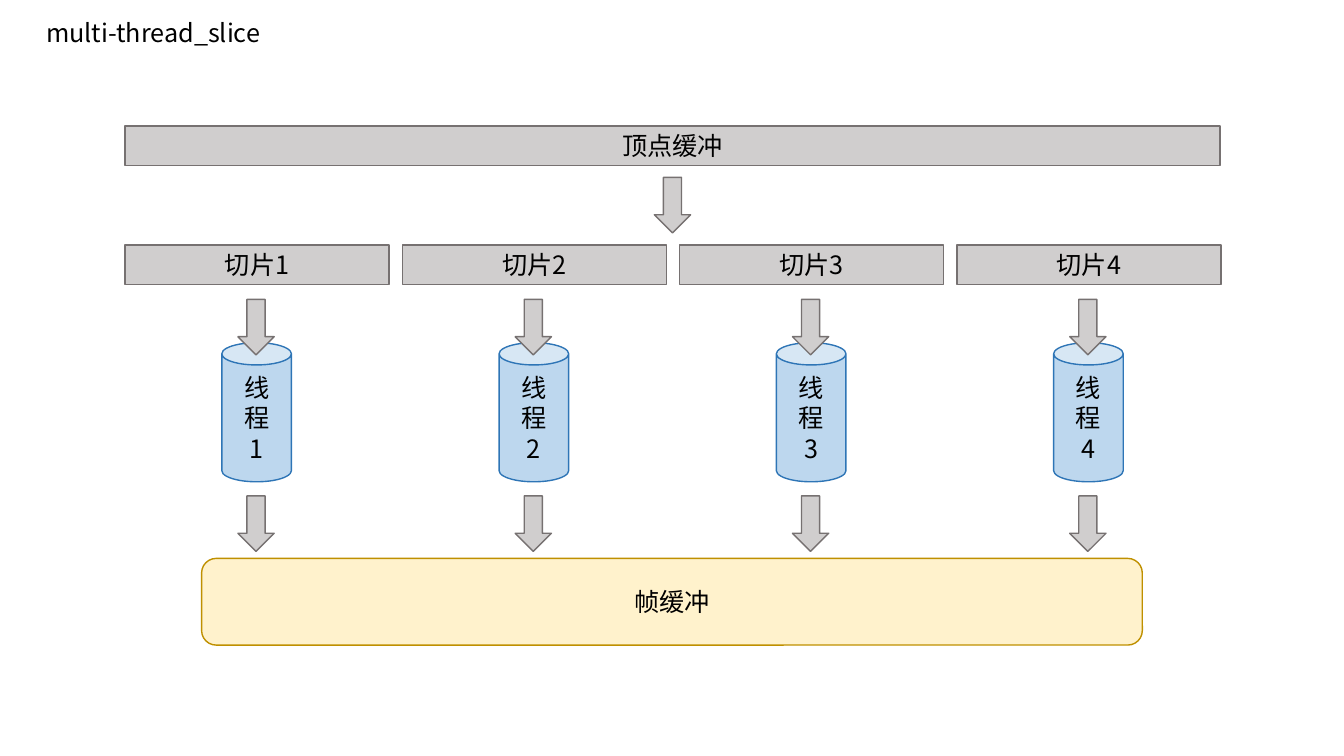
from dataclasses import dataclass

from lxml.etree import SubElement
from pptx import Presentation
from pptx.dml.color import RGBColor
from pptx.enum.shapes import MSO_SHAPE
from pptx.enum.text import MSO_ANCHOR, MSO_AUTO_SIZE, PP_ALIGN
from pptx.oxml.ns import qn
from pptx.slide import Slide
from pptx.text.text import TextFrame
from pptx.util import Emu, Pt

PX = 9144
FONT = "Noto Sans CJK SC"
THREADS = 4
STEP = 275


@dataclass(frozen=True)
class Style:
    kind: MSO_SHAPE
    fill: str
    line: str
    adj: float | None = None


@dataclass(frozen=True)
class Box:
    style: Style
    x: int
    y: int
    w: int
    h: int
    lines: tuple[str, ...] = ()


BAR = Style(MSO_SHAPE.RECTANGLE, "D0CECE", "767171")
ARROW = Style(MSO_SHAPE.DOWN_ARROW, "D0CECE", "767171")
THREAD = Style(MSO_SHAPE.CAN, "BDD7EE", "2E75B6", 0.32)
FRAME = Style(MSO_SHAPE.ROUNDED_RECTANGLE, "FFF2CC", "BF9000")


def px(n: int) -> Emu:
    return Emu(n * PX)


def color(value: str) -> RGBColor:
    return RGBColor.from_string(value)


def write(tf: TextFrame, lines: tuple[str, ...], align: PP_ALIGN) -> None:
    for i, line in enumerate(lines):
        p = tf.add_paragraph() if i else tf.paragraphs[0]
        p.alignment = align
        r = p.add_run()
        r.text = line
        r.font.size = Pt(18)
        r.font.color.rgb = color("000000")
        r.font.name = FONT
        SubElement(r.font._element, qn("a:ea"), typeface=FONT)


def draw_box(s: Slide, box: Box) -> None:
    style = box.style
    sp = s.shapes.add_shape(style.kind, px(box.x), px(box.y), px(box.w), px(box.h))
    sp.shadow.inherit = False
    sp.fill.solid()
    sp.fill.fore_color.rgb = color(style.fill)
    sp.line.color.rgb = color(style.line)
    sp.line.width = Pt(1)
    if style.adj is not None:
        sp.adjustments[0] = style.adj
    tf = sp.text_frame
    tf.word_wrap = True
    tf.vertical_anchor = MSO_ANCHOR.MIDDLE
    write(tf, box.lines, PP_ALIGN.CENTER)


def draw_title(s: Slide, text: str) -> None:
    sp = s.shapes.add_textbox(px(36), px(12), px(245), px(40))
    tf = sp.text_frame
    tf.word_wrap = True
    tf.auto_size = MSO_AUTO_SIZE.SHAPE_TO_FIT_TEXT
    write(tf, (text,), PP_ALIGN.LEFT)


def thread_column(i: int) -> list[Box]:
    dx = i * STEP
    return [
        Box(BAR, 124 + dx, 243, 262, 39, (f"切片{i + 1}",)),
        Box(THREAD, 220 + dx, 340, 69, 138, ("线程", str(i + 1))),
        Box(ARROW, 236 + dx, 297, 36, 55),
        Box(ARROW, 236 + dx, 492, 36, 55),
    ]


def main() -> None:
    prs = Presentation()
    prs.slide_width, prs.slide_height = px(1333), px(750)
    s = prs.slides.add_slide(prs.slide_layouts[6])
    draw_title(s, "multi-thread_slice")
    boxes = [
        Box(BAR, 124, 125, 1086, 39, ("顶点缓冲",)),
        Box(ARROW, 649, 176, 36, 55),
        Box(FRAME, 200, 554, 933, 86, ("帧缓冲",)),
    ]
    for i in range(THREADS):
        boxes += thread_column(i)
    for box in boxes:
        draw_box(s, box)
    prs.save("out.pptx")


if __name__ == "__main__":
    main()
